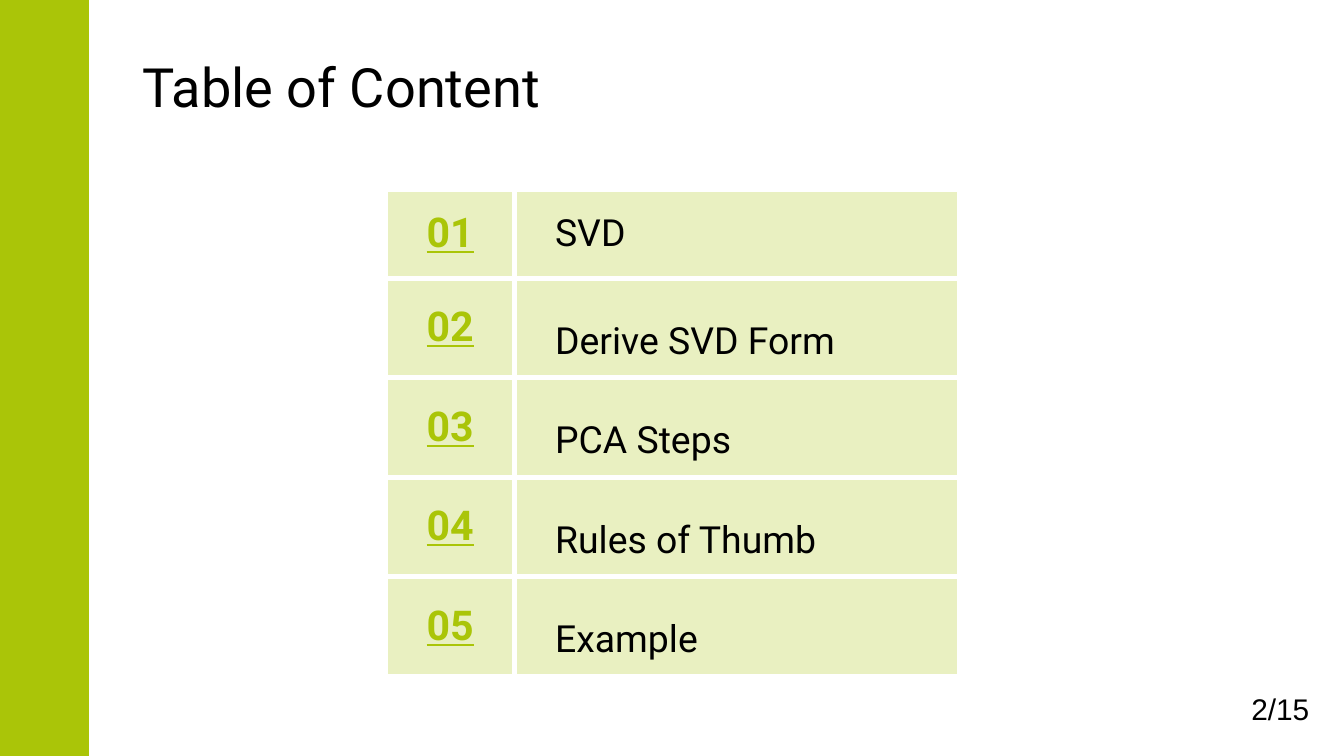
import pptx
import pptx.dml.color
import pptx.enum.shapes
import pptx.enum.text
import pptx.oxml
import pptx.oxml.ns
import pptx.util
from pptx.util import Inches

ANCHOR = pptx.enum.text.MSO_ANCHOR
ALIGN = pptx.enum.text.PP_ALIGN
GREEN = "AAC508"
DRAWING_NS = pptx.oxml.ns.nsdecls("a")


def rgb(value):
    return pptx.dml.color.RGBColor.from_string(value)


def write(frame, text, size, font="Roboto", color="000000", bold=False,
          underline=False, align=ALIGN.LEFT, spacing=None):
    paragraph = frame.paragraphs[0]
    paragraph.alignment = align
    if spacing:
        paragraph.line_spacing = spacing
    run = paragraph.add_run()
    run.text = text
    run.font.size = pptx.util.Pt(size)
    run.font.name = font
    run.font.color.rgb = rgb(color)
    run.font.bold = bold
    run.font.underline = underline


deck = pptx.Presentation()
deck.slide_width = Inches(10)
deck.slide_height = Inches(10 * 9 / 16)
slide = deck.slides.add_slide(deck.slide_layouts[6])

# Side band
band = slide.shapes.add_shape(pptx.enum.shapes.MSO_SHAPE.RECTANGLE,
                              0, 0, Inches(0.66), deck.slide_height)
band.shadow.inherit = False
band.fill.solid()
band.fill.fore_color.rgb = rgb(GREEN)
band.line.color.rgb = rgb(GREEN)
band.line.width = pptx.util.Pt(0.75)

# Page number
page_number = slide.shapes.add_textbox(
    Inches(7.87), Inches(5.09), Inches(1.97), Inches(0.37)).text_frame
page_number.word_wrap = True
page_number.vertical_anchor = ANCHOR.MIDDLE
write(page_number, "2/15", 16, font="Arial", align=ALIGN.RIGHT)

# Title, set in from the band
title = slide.shapes.add_textbox(
    Inches(0.66), Inches(-0.02), Inches(9.34), Inches(1.32)).text_frame
title.word_wrap = True
title.vertical_anchor = ANCHOR.MIDDLE
title.margin_left = Inches(0.4)
title.margin_right = title.margin_top = title.margin_bottom = Inches(0.1)
write(title, "Table of Content", 29)

# Contents table
topics = ["SVD", "Derive SVD Form", "PCA Steps", "Rules of Thumb", "Example"]
contents = slide.shapes.add_table(
    len(topics), 2, Inches(2.87), Inches(1.41),
    Inches(4.27), Inches(0.66 * len(topics))).table
contents.first_row = False
contents.horz_banding = False
contents.columns[0].width = Inches(0.96)
contents.columns[1].width = Inches(3.31)

for index, topic in enumerate(topics):
    contents.rows[index].height = Inches(0.66)
    number_cell = contents.cell(index, 0)
    topic_cell = contents.cell(index, 1)
    write(number_cell.text_frame, f"{index + 1:02}", 22, color=GREEN,
          bold=True, underline=True, align=ALIGN.CENTER)
    write(topic_cell.text_frame, topic, 20, spacing=1.62 if index else None)

    for cell, left_margin in ((number_cell, 0.1), (topic_cell, 0.3)):
        cell.vertical_anchor = ANCHOR.MIDDLE
        cell.margin_left = Inches(left_margin)
        cell.margin_right = cell.margin_top = cell.margin_bottom = Inches(0.1)
        cell.fill.solid()
        cell.fill.fore_color.rgb = rgb(GREEN)
        properties = cell._tc.get_or_add_tcPr()
        tint = properties.find(".//" + pptx.oxml.ns.qn("a:srgbClr"))
        tint.append(pptx.oxml.parse_xml(f'<a:alpha {DRAWING_NS} val="25000"/>'))
        for position, side in enumerate(("lnL", "lnR", "lnT", "lnB")):
            properties.insert(position, pptx.oxml.parse_xml(
                f'<a:{side} {DRAWING_NS} w="{pptx.util.Pt(3)}"><a:solidFill>'
                f'<a:srgbClr val="FFFFFF"/></a:solidFill></a:{side}>'))

deck.save("out.pptx")
